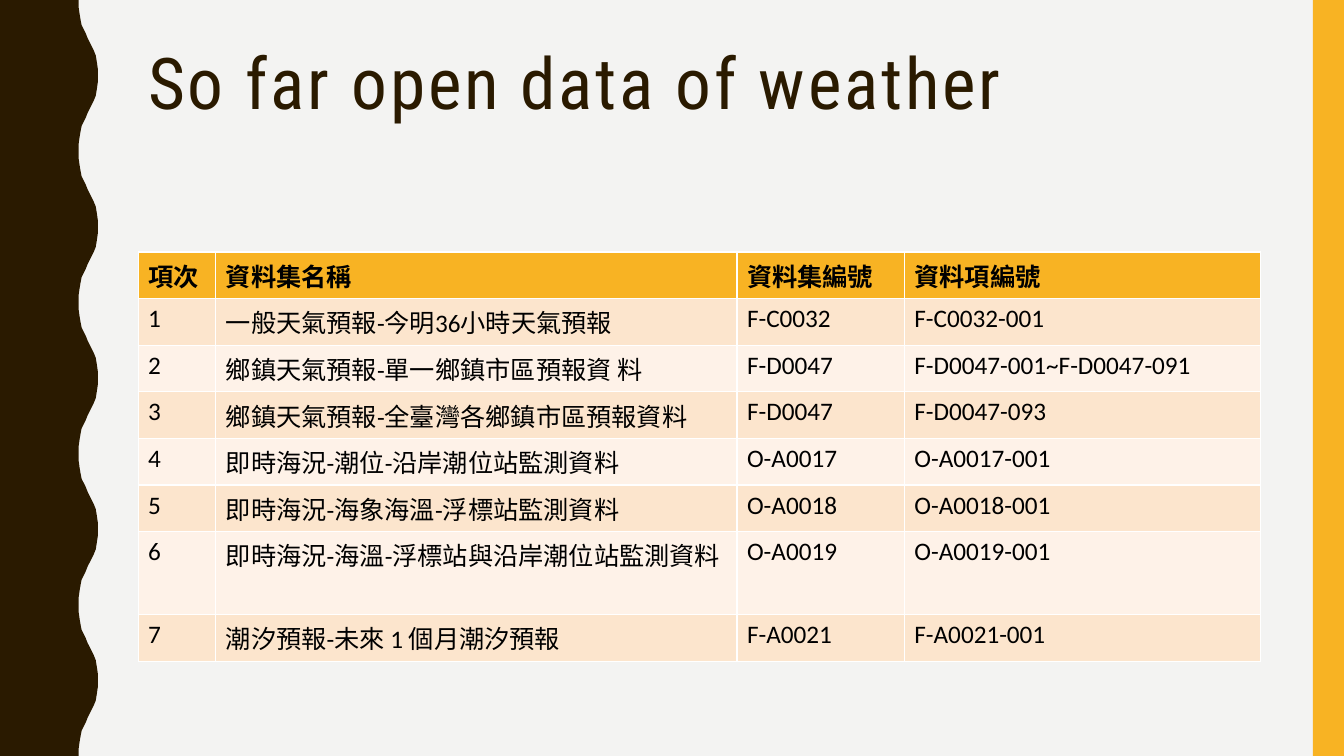
"""Build a slide with a table of open weather data sets."""
from pptx import Presentation
from pptx.dml.color import RGBColor
from pptx.enum.shapes import MSO_SHAPE
from pptx.enum.text import MSO_ANCHOR, PP_ALIGN
from pptx.util import Inches, Pt

BROWN = RGBColor(0x2A, 0x1A, 0x00)
GOLD = RGBColor(0xF8, 0xB3, 0x23)
PEACH = RGBColor(0xFC, 0xE5, 0xCD)
CREAM = RGBColor(0xFE, 0xF2, 0xE8)
PAPER = RGBColor(0xF3, 0xF3, 0xF2)
BLACK = RGBColor(0, 0, 0)

WIDE, HIGH = 13.33, 7.5
LEFT, SPAN = Inches(1.37), Inches(11.13)
WAVES = 5
CURVE = [(78, 0), (78, 7), (79, 14), (80, 20), (81, 25), (83, 29), (85, 33),
         (87, 38), (89, 42), (91, 46), (93, 50), (95, 55), (96, 61), (97, 68), (97, 75)]
COLS = [0.77, 5.17, 1.66, 3.53]
ROW = 0.41
ROWS = [
    ("項次", "資料集名稱", "資料集編號", "資料項編號"),
    ("1", "一般天氣預報-今明36小時天氣預報", "F-C0032", "F-C0032-001"),
    ("2", "鄉鎮天氣預報-單一鄉鎮市區預報資 料", "F-D0047", "F-D0047-001~F-D0047-091"),
    ("3", "鄉鎮天氣預報-全臺灣各鄉鎮市區預報資料", "F-D0047", "F-D0047-093"),
    ("4", "即時海況-潮位-沿岸潮位站監測資料", "O-A0017", "O-A0017-001"),
    ("5", "即時海況-海象海溫-浮標站監測資料", "O-A0018", "O-A0018-001"),
    ("6", "即時海況-海溫-浮標站與沿岸潮位站監測資料", "O-A0019", "O-A0019-001"),
    ("7", "潮汐預報-未來 1 個月潮汐預報", "F-A0021", "F-A0021-001"),
]


def paint(shape, color):
    shape.shadow.inherit = False
    shape.fill.solid()
    shape.fill.fore_color.rgb = color
    shape.line.fill.background()


deck = Presentation()
deck.slide_width, deck.slide_height = Inches(WIDE), Inches(HIGH)
slide = deck.slides.add_slide(deck.slide_layouts[5])
slide.background.fill.solid()
slide.background.fill.fore_color.rgb = PAPER

edge = []
for wave in range(WAVES):
    top = wave * 150
    edge += [(x, top + y) for x, y in CURVE]
    edge += [(x, top + 150 - y) for x, y in CURVE[-2::-1]]
pen = slide.shapes.build_freeform(0, 0, scale=Inches(0.01))
pen.add_line_segments(edge + [(0, 750)], close=True)
paint(pen.convert_to_shape(), BROWN)

strip = slide.shapes.add_shape(
    MSO_SHAPE.RECTANGLE, Inches(13.02), 0, Inches(0.31), Inches(HIGH))
paint(strip, GOLD)

title = slide.shapes.title
title.left, title.top, title.width, title.height = LEFT, Inches(0.42), SPAN, Inches(1.63)
frame = title.text_frame
frame.text = "So far open data of weather"
frame.vertical_anchor = MSO_ANCHOR.TOP
head = frame.paragraphs[0]
head.alignment = PP_ALIGN.LEFT
head.line_spacing = 0.9
head.font.name = "Roboto Condensed"
head.font.size = Pt(51)
head.font.color.rgb = BROWN
head.runs[0].font._element.set("spc", "200")

table = slide.shapes.add_table(
    len(ROWS), len(COLS), LEFT, Inches(2.5), SPAN, Inches(ROW * len(ROWS))).table
for col, width in zip(table.columns, COLS):
    col.width = Inches(width)
for i, row in enumerate(ROWS):
    for j, text in enumerate(row):
        cell = table.cell(i, j)
        cell.fill.solid()
        cell.fill.fore_color.rgb = GOLD if i == 0 else PEACH if i % 2 else CREAM
        cell.text = text
        font = cell.text_frame.paragraphs[0].font
        font.name = "Calibri"
        font.size = Pt(18)
        font.bold = i == 0
        font.color.rgb = BLACK

deck.save("out.pptx")
